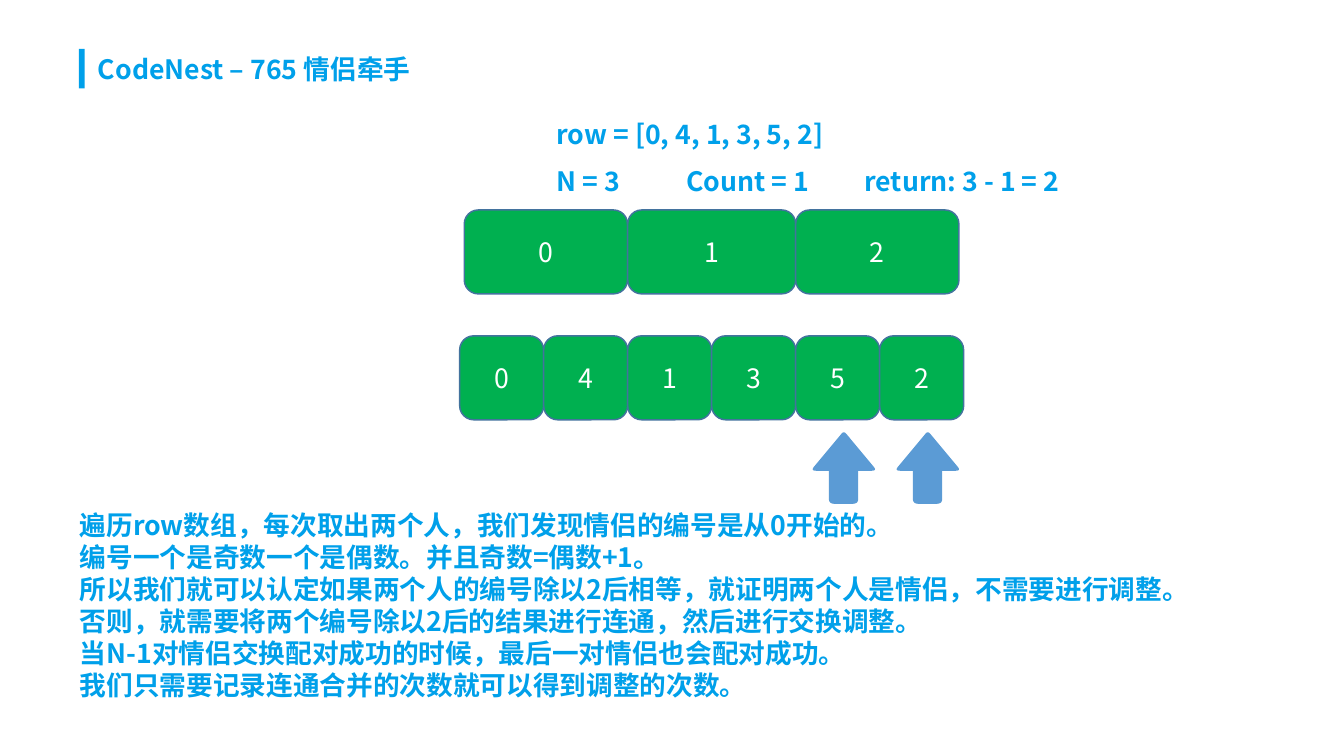
from math import dist
from pptx import Presentation
from pptx.dml.color import RGBColor
from pptx.enum.shapes import MSO_SHAPE
from pptx.enum.text import MSO_ANCHOR, PP_ALIGN
from pptx.oxml.ns import qn
from pptx.util import Pt
from lxml.etree import SubElement

TITLE = "CodeNest – 765 情侣牵手"
ROW = "row = [0, 4, 1, 3, 5, 2]"
STATE = "N = 3\tCount = 1\treturn: 3 - 1 = 2"
NOTES = [
    "遍历row数组，每次取出两个人，我们发现情侣的编号是从0开始的。",
    "编号一个是奇数一个是偶数。并且奇数=偶数+1。",
    "所以我们就可以认定如果两个人的编号除以2后相等，就证明两个人是情侣，不需要进行调整。",
    "否则，就需要将两个编号除以2后的结果进行连通，然后进行交换调整。",
    "当N-1对情侣交换配对成功的时候，最后一对情侣也会配对成功。",
    "我们只需要记录连通合并的次数就可以得到调整的次数。",
]
SEATS = [0, 4, 1, 3, 5, 2]
PAIRS = [(0, 3.1, 110.2), (1, 0, 113.4), (2, 0, 110.2)]
ACTIVE = [4, 5]

THEME = {
    "font": "Noto Sans CJK JP", "size": 18, "lead": 21.6,
    "text": "00A0EA", "cell": "00B050", "edge": "43739E",
    "arrow": "5B9BD5", "label": "FFFFFF",
}
SIDE, LEFT = 56.7, 310.3
PAIR_TOP, SEAT_TOP, ARROW_TOP = 141.8, 226.8, 292
TABS = [87.7, 207.8]
ARROW = [
    (20.9, -1, 2.5), (43.3, 25.9, 3.5), (30.6, 25.9, 0), (30.6, 48.2, 3.5),
    (10.8, 48.2, 3.5), (10.8, 25.9, 0), (-1.5, 25.9, 3.5),
]

deck = Presentation()
deck.slide_width, deck.slide_height = Pt(907.2), Pt(510.5)
slide = deck.slides.add_slide(deck.slide_layouts[6])
shapes = slide.shapes


def paint(shape, fill, line=None):
    shape.shadow.inherit = False
    shape.fill.solid()
    shape.fill.fore_color.rgb = RGBColor.from_string(fill)
    if line:
        shape.line.color.rgb = RGBColor.from_string(line)
        shape.line.width = Pt(1)
    else:
        shape.line.fill.background()


def write(frame, lines, color, bold=False, align=PP_ALIGN.LEFT):
    frame.word_wrap = True
    frame.text = "\n".join(lines)
    for para in frame.paragraphs:
        para.alignment = align
        para.line_spacing = Pt(THEME["lead"])
        font = para.font
        font.name, font.size, font.bold = THEME["font"], Pt(THEME["size"]), bold
        font.color.rgb = RGBColor.from_string(color)
        base = para._p.pPr.find(qn("a:defRPr"))
        SubElement(base, qn("a:ea")).set("typeface", THEME["font"])


def note(left, top, width, lines):
    height = THEME["lead"] * len(lines) + 7.2
    box = shapes.add_textbox(Pt(left), Pt(top), Pt(width), Pt(height))
    write(box.text_frame, lines, THEME["text"], True)
    return box.text_frame.paragraphs[0]


def cell(left, top, width, value):
    shape = shapes.add_shape(
        MSO_SHAPE.ROUNDED_RECTANGLE, Pt(left), Pt(top), Pt(width), Pt(SIDE))
    paint(shape, THEME["cell"], THEME["edge"])
    shape.text_frame.vertical_anchor = MSO_ANCHOR.MIDDLE
    write(shape.text_frame, [str(value)], THEME["label"], align=PP_ALIGN.CENTER)


def toward(start, end, gap):
    part = gap / dist(start, end)
    return tuple(a + (b - a) * part for a, b in zip(start, end))


def curve(corners, steps=6):
    points = []
    for i, (x, y, cut) in enumerate(corners):
        tip = (x, y)
        if not cut:
            points.append(tip)
            continue
        first = toward(tip, corners[i - 1][:2], cut)
        last = toward(tip, corners[(i + 1) % len(corners)][:2], cut)
        for step in range(steps + 1):
            t = step / steps
            points.append(tuple(
                (1 - t) ** 2 * a + 2 * t * (1 - t) * b + t * t * c
                for a, b, c in zip(first, tip, last)))
    return points


def arrow(left, top):
    points = [(Pt(left + x), Pt(top + y)) for x, y in curve(ARROW)]
    path = shapes.build_freeform(*points[0], scale=1.0)
    path.add_line_segments(points[1:], close=True)
    paint(path.convert_to_shape(), THEME["arrow"])


bar = shapes.add_shape(MSO_SHAPE.RECTANGLE, Pt(53.3), Pt(33.1), Pt(3.9), Pt(26.6))
paint(bar, THEME["text"])
note(59, 32.4, 453, [TITLE])
note(368.6, 76.3, 453.6, [ROW])
state = note(368.6, 107.6, 453.6, [STATE])
props = state._p.pPr
stops = SubElement(props, qn("a:tabLst"))
props.find(qn("a:defRPr")).addprevious(stops)
for stop in TABS:
    tab = SubElement(stops, qn("a:tab"))
    tab.set("pos", str(Pt(stop)))
    tab.set("algn", "l")
note(46.8, 339.8, 830, NOTES)

for i, shift, width in PAIRS:
    cell(LEFT + 2 * SIDE * i + shift, PAIR_TOP, width, i)
for i, seat in enumerate(SEATS):
    cell(LEFT + SIDE * i, SEAT_TOP, SIDE, seat)
for i in ACTIVE:
    arrow(LEFT + SIDE * i + 11.6, ARROW_TOP)

deck.save("out.pptx")
